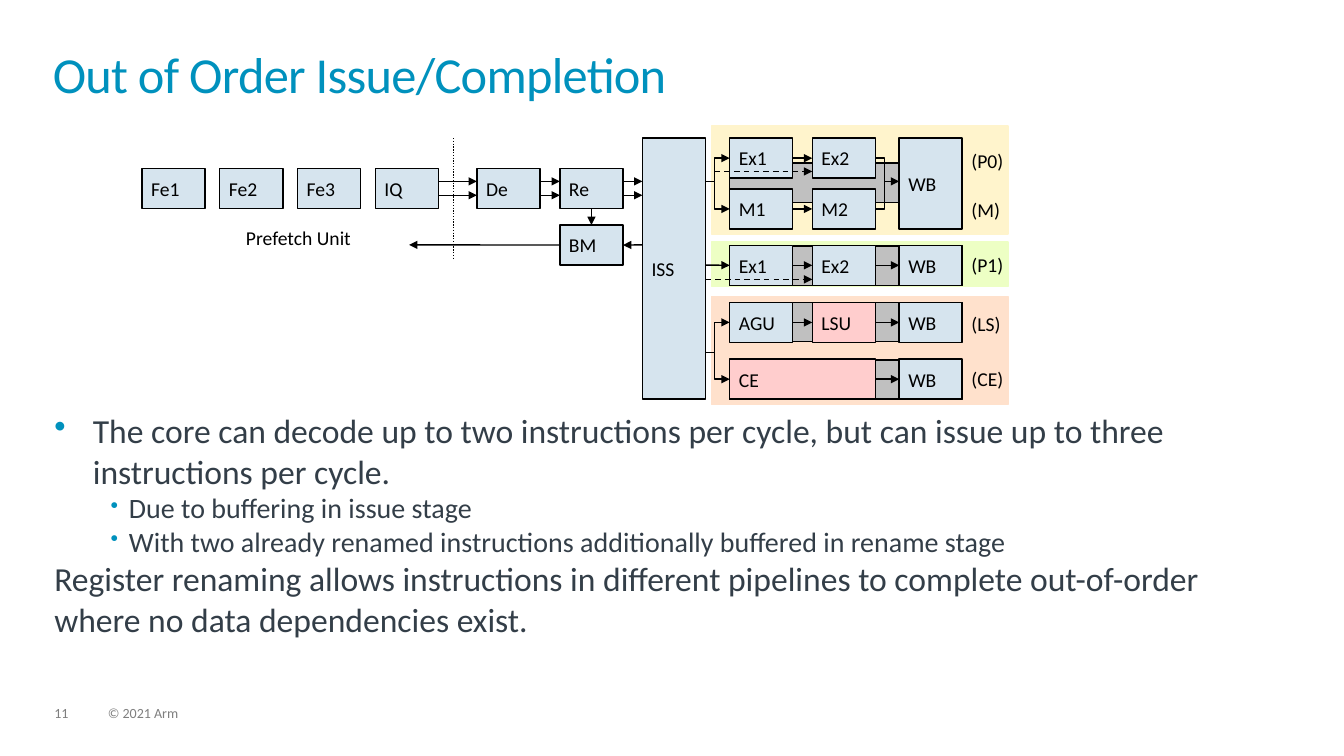
"""Build the slide on out of order issue and completion."""
from lxml import etree
from pptx import Presentation
from pptx import util as u
from pptx.dml.color import RGBColor
from pptx.enum import dml, shapes, text
from pptx.oxml.ns import qn

FONT = "Calibri"
BLACK, BLUE, PINK, GREY = "000000", "D6E4EE", "FFCDCD", "C0C0C0"
ACCENT, SLATE, FOOTER = "0091BD", "333E48", "7F7F7F"
STAGE_W, STAGE_H = 1.59, 1.01
FETCH_X, FETCH_STEP = 3.58, 1.96
DECODE_X, RENAME_X, ISSUE_X = 12.02, 14.11, 16.19
FIRST_X, SECOND_X, WRITE_X = 18.39, 20.47, 22.66
ISSUE_RIGHT = ISSUE_X + STAGE_W
FRONT_Y, BRANCH_Y = 4.25, 5.67
P0_Y, M_Y, P1_Y, LS_Y, CE_Y = 3.48, 4.76, 6.18, 7.62, 9.05
UPPER_Y, LOWER_Y = 4.57, 4.92
TOP, LEFT, BOTTOM, RIGHT = range(4)


def color(target, value):
    """Give a fill, line or font the colour of a hex string."""
    if hasattr(target, "solid"):
        target.solid()
        target = target.fore_color
    elif hasattr(target, "color"):
        target = target.color
    target.rgb = RGBColor.from_string(value)


def style_runs(paragraph, size, value):
    """Set the font of every run in a paragraph."""
    for run in paragraph.runs:
        run.font.name = FONT
        run.font.size = u.Pt(size)
        color(run.font, value)


def set_insets(frame, side, top):
    """Set the inner margins of a text frame in centimetres."""
    frame.margin_left = frame.margin_right = u.Cm(side)
    frame.margin_top = frame.margin_bottom = u.Cm(top)


def add_box(slide, x, y, width, height, fill, outline):
    """Add a plain rectangle."""
    box = slide.shapes.add_shape(
        shapes.MSO_SHAPE.RECTANGLE, u.Cm(x), u.Cm(y), u.Cm(width), u.Cm(height))
    box.shadow.inherit = False
    color(box.fill, fill)
    color(box.line, outline)
    box.line.width = u.Pt(1)
    return box


def add_stage(slide, name, x, y, width=STAGE_W, height=STAGE_H, fill=BLUE):
    """Add a named pipeline stage."""
    stage = add_box(slide, x, y, width, height, fill, BLACK)
    frame = stage.text_frame
    frame.text = name
    frame.word_wrap = False
    frame.vertical_anchor = text.MSO_ANCHOR.MIDDLE
    set_insets(frame, 0.23, 0.1)
    frame.paragraphs[0].alignment = text.PP_ALIGN.LEFT
    style_runs(frame.paragraphs[0], 14, BLACK)
    return stage


def add_label(slide, words, x, y, width, height, size=14, value=BLACK, insets=(0.23, 0.1)):
    """Add a one-line text box."""
    frame = slide.shapes.add_textbox(u.Cm(x), u.Cm(y), u.Cm(width), u.Cm(height)).text_frame
    frame.text = words
    frame.word_wrap = True
    set_insets(frame, *insets)
    style_runs(frame.paragraphs[0], size, value)
    return frame.paragraphs[0]


def add_line(slide, x1, y1, x2, y2, kind=shapes.MSO_CONNECTOR.STRAIGHT, dash=None, arrow=True):
    """Add a black connector, with an arrowhead at its end by default."""
    line = slide.shapes.add_connector(kind, u.Cm(x1), u.Cm(y1), u.Cm(x2), u.Cm(y2))
    color(line.line, BLACK)
    line.line.width = u.Pt(1)
    if dash:
        line.line.dash_style = dash
    properties = line._element.spPr
    if arrow:
        etree.SubElement(properties.find(qn("a:ln")), qn("a:tailEnd"), type="triangle")
    etree.SubElement(properties, qn("a:effectLst"))
    return line


def add_elbow(slide, x1, y1, x2, y2, arrow=True):
    """Add a connector that bends a little before its middle."""
    elbow = add_line(slide, x1, y1, x2, y2, shapes.MSO_CONNECTOR.ELBOW, arrow=arrow)
    guides = elbow._element.spPr.find(qn("a:prstGeom")).get_or_add_avLst()
    etree.SubElement(guides, qn("a:gd"), name="adj1", fmla="val 37700")


def join(slide, start, end, start_side=RIGHT, end_side=LEFT):
    """Draw an arrow from one stage to another."""
    arrow = add_line(slide, 0, 0, 1, 1)
    arrow.begin_connect(start, start_side)
    arrow.end_connect(end, end_side)


def add_bullet(paragraph, indent, hanging, percent):
    """Give a paragraph a coloured bullet with a hanging indent."""
    properties = paragraph._p.get_or_add_pPr()
    properties.set("marL", str(u.Cm(indent)))
    properties.set("indent", str(-u.Cm(hanging)))
    tint = etree.SubElement(properties, qn("a:buClr"))
    etree.SubElement(tint, qn("a:srgbClr"), val=ACCENT)
    etree.SubElement(properties, qn("a:buSzPct"), val=str(percent * 1000))
    etree.SubElement(properties, qn("a:buChar"), char="•")


def add_title(slide):
    """Move and format the title placeholder."""
    title = slide.shapes.title
    title.left, title.top, title.width, title.height = map(u.Cm, (1.33, 1.32, 31.19, 1.83))
    frame = title.text_frame
    frame.text = "Out of Order Issue/Completion"
    frame.auto_size = text.MSO_AUTO_SIZE.NONE
    frame.vertical_anchor = text.MSO_ANCHOR.TOP
    set_insets(frame, 0, 0)
    heading = frame.paragraphs[0]
    heading.alignment = text.PP_ALIGN.LEFT
    heading.line_spacing = 0.85
    style_runs(heading, 36, ACCENT)
    heading.runs[0]._r.get_or_add_rPr().set("spc", "-50")


def add_explanation(slide):
    """Add the text below the diagram."""
    points = [
        ("The core can decode up to two instructions per cycle, but can issue up to three "
         "instructions per cycle.", 24, (0.97, 0.97, 100)),
        ("Due to buffering in issue stage", 20, (1.88, 0.46, 80)),
        ("With two already renamed instructions additionally buffered in rename stage",
         20, (1.88, 0.46, 80)),
        ("Register renaming allows instructions in different pipelines to complete "
         "out-of-order where no data dependencies exist.", 24, None),
    ]
    frame = slide.shapes.add_textbox(u.Cm(1.37), u.Cm(10.34), u.Cm(31.06), u.Cm(5.56)).text_frame
    frame.word_wrap = True
    set_insets(frame, 0, 0)
    for index, (words, size, bullet) in enumerate(points):
        point = frame.add_paragraph() if index else frame.paragraphs[0]
        point.text = words
        if bullet:
            add_bullet(point, *bullet)
        style_runs(point, size, SLATE)


def add_diagram(slide):
    """Draw the pipelines and the paths between their stages."""
    for y, height, tint in ((6.1, 1.12, "EDFFC4"), (7.47, 2.72, "FFE1CC"), (3.18, 2.72, "FFF4CC")):
        add_box(slide, 17.93, y, 7.47, height, tint, tint)
    for y in (9.07, 6.2, LS_Y, 4.11):
        add_box(slide, FIRST_X, y, 5.87, 0.99, GREY, BLACK)

    for index, name in enumerate(("Fe1", "Fe2", "Fe3", "IQ")):
        add_stage(slide, name, FETCH_X + index * FETCH_STEP, FRONT_Y)
    add_stage(slide, "De", DECODE_X, FRONT_Y)
    rename = add_stage(slide, "Re", RENAME_X, FRONT_Y)
    branch = add_stage(slide, "BM", RENAME_X, BRANCH_Y)
    add_stage(slide, "ISS", ISSUE_X, P0_Y, height=CE_Y + STAGE_H - P0_Y)
    add_stage(slide, "WB", WRITE_X, P0_Y, height=M_Y + STAGE_H - P0_Y)

    for first_name, second_name, y in (("Ex1", "Ex2", P0_Y), ("M1", "M2", M_Y),
                                       ("Ex1", "Ex2", P1_Y), ("AGU", "LSU", LS_Y)):
        first = add_stage(slide, first_name, FIRST_X, y)
        second = add_stage(slide, second_name, SECOND_X, y, fill=PINK if y == LS_Y else BLUE)
        join(slide, first, second)
        if y in (P1_Y, LS_Y):
            join(slide, second, add_stage(slide, "WB", WRITE_X, y))
        if y == P1_Y:
            add_line(slide, ISSUE_RIGHT, 6.68, FIRST_X, 6.68).end_connect(first, LEFT)
    engine = add_stage(slide, "CE", FIRST_X, CE_Y, SECOND_X + STAGE_W - FIRST_X, fill=PINK)
    join(slide, engine, add_stage(slide, "WB", WRITE_X, CE_Y))

    for start, end in ((11.05, DECODE_X), (DECODE_X + STAGE_W, RENAME_X),
                       (RENAME_X + STAGE_W, ISSUE_X)):
        for y in (UPPER_Y, LOWER_Y):
            add_line(slide, start, y, end, y)
    join(slide, rename, branch, BOTTOM, TOP)
    add_line(slide, RENAME_X, 6.17, 10.31, 6.17).begin_connect(branch, LEFT)
    add_line(slide, ISSUE_X, 6.17, RENAME_X, 6.17).end_connect(branch, RIGHT)

    for issue_y, rows in ((UPPER_Y, (P0_Y, M_Y)), (8.89, (LS_Y, CE_Y))):
        for y in rows:
            add_elbow(slide, ISSUE_RIGHT, issue_y, FIRST_X, y + STAGE_H / 2)
    for y in (P0_Y, M_Y):
        add_elbow(slide, SECOND_X + STAGE_W, y + STAGE_H / 2, WRITE_X, UPPER_Y, arrow=y == P0_Y)
    for start, y in ((18.01, 4.32), (ISSUE_RIGHT, 7.04)):
        add_line(slide, start, y, SECOND_X, y, dash=dml.MSO_LINE.DASH)
    add_line(slide, 11.43, P0_Y, 11.43, 6.55, dash=dml.MSO_LINE.ROUND_DOT, arrow=False)

    for name, y in (("(P0)", 3.66), ("(M)", 4.9), ("(P1)", 6.27), ("(LS)", 7.77), ("(CE)", 9.14)):
        add_label(slide, name, 24.25, y, 3.2, 0.81)
    add_label(slide, "Prefetch Unit", 5.97, 5.59, 3.15, 0.81)


def main():
    """Build and save the slide."""
    deck = Presentation()
    deck.slide_width, deck.slide_height = u.Cm(33.87), u.Cm(19.05)
    slide = deck.slides.add_slide(deck.slide_layouts[5])
    add_title(slide)
    add_explanation(slide)
    add_diagram(slide)
    for words, x, width in (("11", 1.37, 0.86), ("© 2021 Arm", 2.72, 12.88)):
        note = add_label(slide, words, x, 17.81, width, 0.38, 10, FOOTER, (0, 0))
        note.line_spacing = 0.9
    deck.save("out.pptx")


if __name__ == "__main__":
    main()
